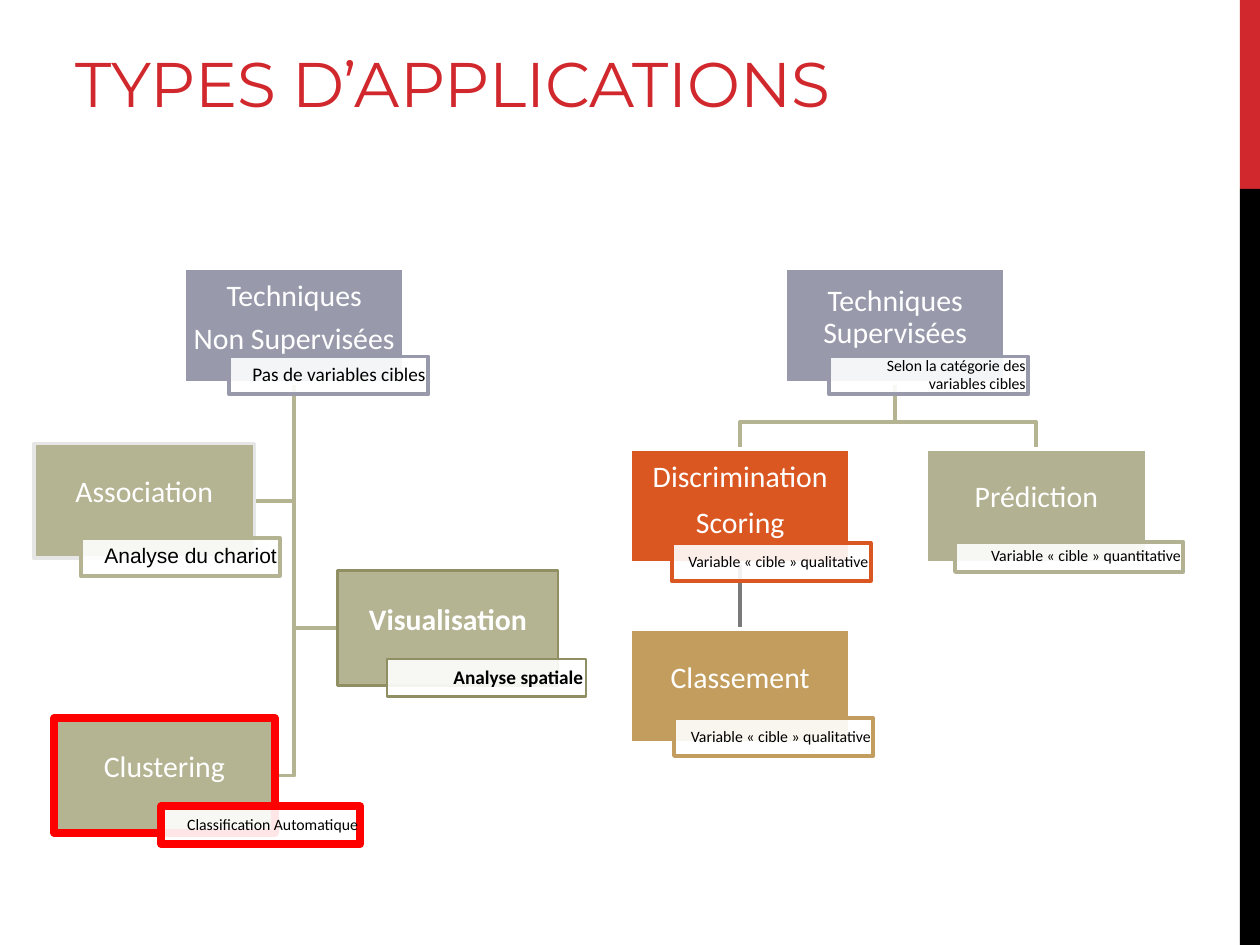
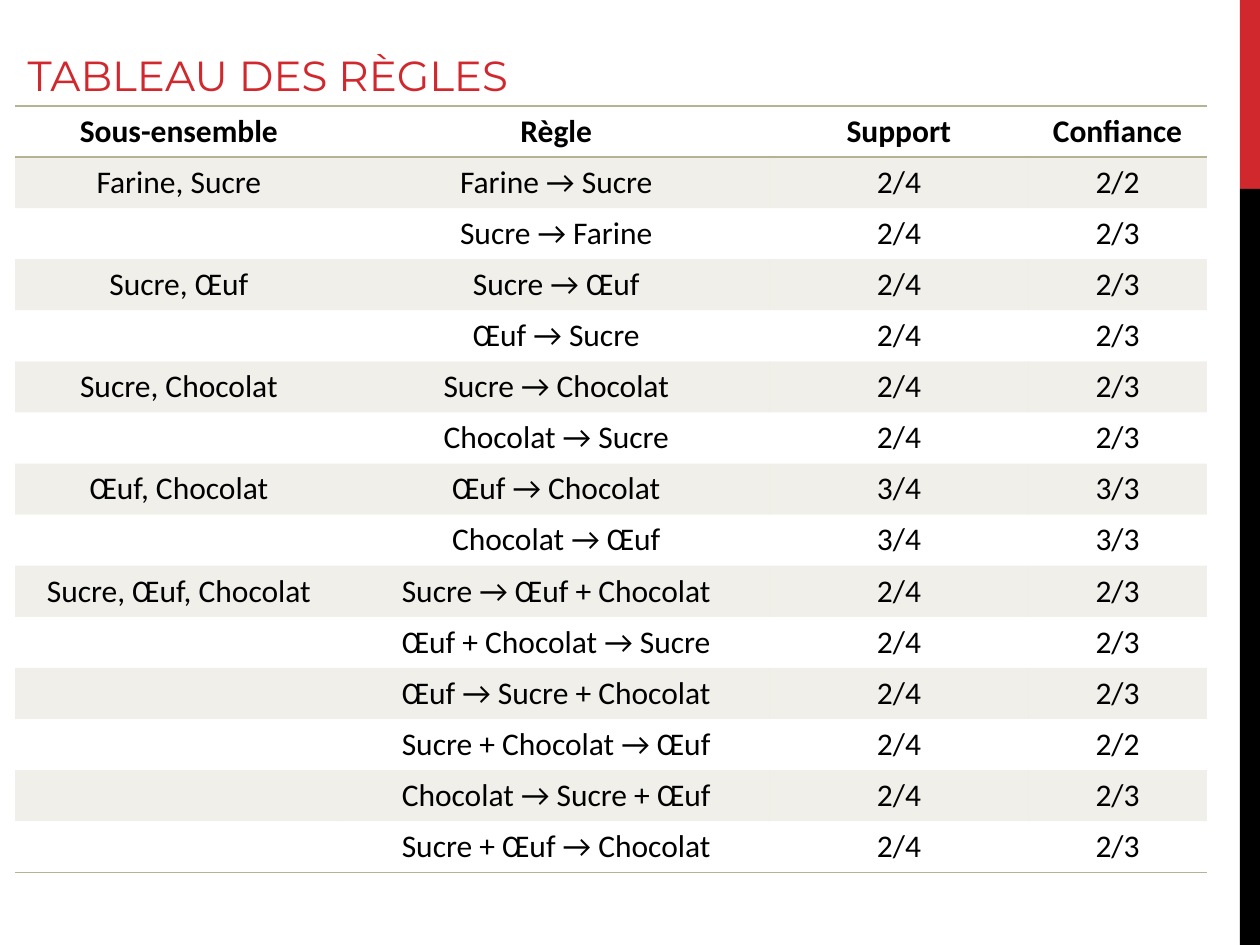
from lxml import etree
from pptx import Presentation
from pptx.dml.color import RGBColor
from pptx.enum.dml import MSO_FILL
from pptx.enum.shapes import MSO_CONNECTOR, MSO_SHAPE
from pptx.enum.text import MSO_ANCHOR, MSO_AUTO_SIZE, PP_ALIGN
from pptx.oxml.ns import qn
from pptx.util import Inches, Pt

RECT = MSO_SHAPE.RECTANGLE
STRAIGHT = MSO_CONNECTOR.STRAIGHT
SOLID = MSO_FILL.SOLID
MIDDLE, BOTTOM = MSO_ANCHOR.MIDDLE, MSO_ANCHOR.BOTTOM
LEFT, CENTER, RIGHT = PP_ALIGN.LEFT, PP_ALIGN.CENTER, PP_ALIGN.RIGHT
NO_AUTOFIT = MSO_AUTO_SIZE.NONE

# Shared look
SLIDE_W, SLIDE_H = 10, 7.5
BAND_W, RED_SHARE = 0.16, 0.2
TITLE_FONT, BODY_FONT, PLAIN_FONT = "Montserrat", "Calibri", "Arial"
WHITE = RGBColor(0xFF, 0xFF, 0xFF)
BLACK = RGBColor(0, 0, 0)
CRIMSON = RGBColor(0xD1, 0x28, 0x2E)
RED = RGBColor(0xFF, 0, 0)
SLATE = RGBColor(0x98, 0x9A, 0xAC)
SAGE = RGBColor(0xB4, 0xB3, 0x92)
SAGE_GREY = RGBColor(0xB2, 0xB1, 0x91)
OLIVE = RGBColor(0x90, 0x8F, 0x63)
ORANGE = RGBColor(0xDB, 0x57, 0x22)
OCHRE = RGBColor(0xC2, 0x9D, 0x5E)
PALE_GREY = RGBColor(0xE6, 0xE6, 0xE6)
MID_GREY = RGBColor(0x7A, 0x7A, 0x7A)

# Slide 1: techniques; caption_at is the offset from the box's corner
APPLICATIONS_TITLE = ("TYPES D’APPLICATIONS", (0.5, 0.17, 8.2, 0.83), 36)
BOX_W, BOX_H = 1.75, 0.91
CAPTION_SIZE = (1.58, 0.3)
BEND_DROP = 0.31
LINE_PT = 2.25
TECHNIQUES = {
    "unsupervised": dict(
        at=(1.46, 2.13), label=["Techniques", "Non Supervisées"], fill=SLATE,
        caption="Pas de variables cibles", caption_at=(0.36, 0.7), size=11),
    "association": dict(
        at=(0.27, 3.52), label=["Association"], fill=SAGE, edge=PALE_GREY,
        caption="Analyse du chariot", caption_at=(0.37, 0.75), size=12,
        font=PLAIN_FONT),
    "visualisation": dict(
        at=(2.68, 4.53), label=["Visualisation"], fill=SAGE, edge=OLIVE,
        caption_edge=OLIVE, edge_pt=1.5, bold=True,
        caption="Analyse spatiale", caption_at=(0.39, 0.7), size=11),
    "clustering": dict(
        at=(0.43, 5.7), label=["Clustering"], fill=SAGE, edge=RED,
        caption_edge=RED, edge_pt=4.5,
        caption="Classification Automatique", caption_at=(0.85, 0.7)),
    "supervised": dict(
        at=(6.23, 2.13), label=["Techniques Supervisées"], fill=SLATE,
        caption="Selon la catégorie des variables cibles",
        caption_at=(0.35, 0.7)),
    "discrimination": dict(
        at=(5, 3.56), label=["Discrimination", "Scoring"], fill=ORANGE,
        spacing=1.0, caption="Variable « cible » qualitative",
        caption_at=(0.33, 0.75)),
    "classement": dict(
        at=(5, 4.99), label=["Classement"], fill=OCHRE,
        caption="Variable « cible » qualitative", caption_at=(0.35, 0.71)),
    "prediction": dict(
        at=(7.35, 3.56), label=["Prédiction"], fill=SAGE_GREY,
        caption="Variable « cible » quantitative", caption_at=(0.23, 0.74),
        caption_size=(1.81, 0.24)),
}
SIDE_BRANCHES = ("unsupervised", ["clustering", "visualisation", "association"])
DOWN_BRANCHES = ("supervised", ["prediction", "discrimination"])
STEP = ("discrimination", "classement")

# Slide 2: rules, grouped by subset
RULES_TITLE = ("TABLEAU DES RÈGLES", (0.12, 0.13, 8.5, 0.71), 24)
HEADINGS = ("Sous-ensemble", "Règle", "Support", "Confiance")
COLUMN_WIDTHS = (2.6, 3.39, 2.05, 1.42)
TABLE_AT, TABLE_H = (0.12, 0.84), 6.08
RULES = [
    ("Farine, Sucre", [
        ("Farine → Sucre", "2/4", "2/2"),
        ("Sucre → Farine", "2/4", "2/3")]),
    ("Sucre, Œuf", [
        ("Sucre → Œuf", "2/4", "2/3"),
        ("Œuf → Sucre", "2/4", "2/3")]),
    ("Sucre, Chocolat", [
        ("Sucre → Chocolat", "2/4", "2/3"),
        ("Chocolat → Sucre", "2/4", "2/3")]),
    ("Œuf, Chocolat", [
        ("Œuf → Chocolat", "3/4", "3/3"),
        ("Chocolat → Œuf", "3/4", "3/3")]),
    ("Sucre, Œuf, Chocolat", [
        ("Sucre → Œuf + Chocolat", "2/4", "2/3"),
        ("Œuf + Chocolat → Sucre", "2/4", "2/3"),
        ("Œuf → Sucre + Chocolat", "2/4", "2/3"),
        ("Sucre + Chocolat → Œuf", "2/4", "2/2"),
        ("Chocolat → Sucre + Œuf", "2/4", "2/3"),
        ("Sucre + Œuf → Chocolat", "2/4", "2/3")]),
]
NO_TABLE_STYLE = "{2D5ABB26-0587-4C30-8999-92F81FD0307C}"


def inches(*lengths):
    return [Inches(length) for length in lengths]


def set_opacity(properties, percent):
    colour = properties.find(qn("a:solidFill"))[0]
    etree.SubElement(colour, qn("a:alpha"), val=str(percent * 1000))


def style_text(paragraph, size, colour, align, font=BODY_FONT, bold=False):
    paragraph.alignment = align
    paragraph.font.size = Pt(size)
    for run in paragraph.runs:
        run.font.name, run.font.size, run.font.bold = font, Pt(size), bold
        run.font.color.rgb = colour


def add_rect(slide, place, fill, edge=None, edge_pt=LINE_PT):
    rect = slide.shapes.add_shape(RECT, *inches(*place))
    rect.shadow.inherit = False
    rect.fill.solid()
    rect.fill.fore_color.rgb = fill
    if edge is None:
        rect.line.fill.background()
    else:
        rect.line.color.rgb, rect.line.width = edge, Pt(edge_pt)
    return rect


def write(rect, lines, insets, spacing, size, colour, align, **look):
    frame = rect.text_frame
    frame.word_wrap, frame.vertical_anchor = True, MIDDLE
    (frame.margin_left, frame.margin_top,
     frame.margin_right, frame.margin_bottom) = inches(*insets)
    frame.text = "\n".join(lines)
    for i, paragraph in enumerate(frame.paragraphs):
        paragraph.line_spacing = spacing
        paragraph.space_before = Pt(6 if i else 0)
        style_text(paragraph, size, colour, align, **look)


def add_slide(prs, layout, title, place, size):
    slide = prs.slides.add_slide(layout)
    heading = slide.shapes.title
    heading.left, heading.top, heading.width, heading.height = inches(*place)
    frame = heading.text_frame
    frame.text = title
    frame.vertical_anchor, frame.auto_size = BOTTOM, NO_AUTOFIT
    style_text(frame.paragraphs[0], size, CRIMSON, LEFT, font=TITLE_FONT)
    return slide


def add_bands(slide, layout):
    """Side bands, moved to the layout so that every slide has them."""
    x, split = SLIDE_W - BAND_W, SLIDE_H * RED_SHARE
    for top, bottom, colour in ((0, split, CRIMSON), (split, SLIDE_H, BLACK)):
        band = add_rect(slide, (x, top, BAND_W, bottom - top), colour)
        layout.shapes.element.append(band.element)


def add_branch(slide, points):
    start, *rest = [inches(*point) for point in points]
    builder = slide.shapes.build_freeform(*start)
    builder.add_line_segments(rest, close=False)
    branch = builder.convert_to_shape()
    branch.shadow.inherit = False
    branch.fill.background()
    branch.line.color.rgb, branch.line.width = SAGE, Pt(LINE_PT)


def foot(name):
    x, y = TECHNIQUES[name]["at"]
    return x + BOX_W / 2, y + BOX_H


def add_branches(slide):
    # From the parent's foot sideways to the children
    parent, children = SIDE_BRANCHES
    trunk, top = foot(parent)
    for child in children:
        x, y = TECHNIQUES[child]["at"]
        side = x if x > trunk else x + BOX_W
        middle = y + BOX_H / 2
        add_branch(slide, [(trunk, top), (trunk, middle), (side, middle)])
    # From the parent's foot down to the children
    parent, children = DOWN_BRANCHES
    trunk, top = foot(parent)
    bend = top + BEND_DROP
    for child in children:
        x, y = foot(child)[0], TECHNIQUES[child]["at"][1]
        add_branch(slide, [(trunk, top), (trunk, bend), (x, bend), (x, y)])
    # Straight step
    x, top = foot(STEP[0])
    step = slide.shapes.add_connector(
        STRAIGHT, *inches(x, top, x, TECHNIQUES[STEP[1]]["at"][1]))
    step.line.color.rgb, step.line.width = MID_GREY, Pt(LINE_PT)
    etree.SubElement(step.element.spPr, qn("a:effectLst"))


def add_technique(slide, at, label, fill, caption, caption_at, size=9,
                  edge=WHITE, caption_edge=None, edge_pt=LINE_PT, bold=False,
                  font=BODY_FONT, spacing=0.9, caption_size=CAPTION_SIZE):
    box = add_rect(slide, (*at, BOX_W, BOX_H), fill, edge, edge_pt)
    write(box, label, (0.01, 0.01, 0.01, 0.13), spacing, 17, WHITE, CENTER,
          bold=bold)
    corner = (at[0] + caption_at[0], at[1] + caption_at[1])
    note = add_rect(slide, (*corner, *caption_size), WHITE,
                    caption_edge or fill, edge_pt)
    set_opacity(note.element.spPr, 90)
    write(note, [caption], (0.02, 0.01, 0.02, 0.01), 0.9, size, BLACK, RIGHT,
          font=font, bold=bold)


def add_border(properties, side):
    border = etree.SubElement(properties, qn(f"a:{side}"), w=str(Pt(1)))
    fill = etree.SubElement(border, qn("a:solidFill"))
    etree.SubElement(fill, qn("a:srgbClr"), val=str(SAGE))


def add_rules(slide):
    rows = [HEADINGS]
    for subset, rules in RULES:
        rows += [("" if i else subset, *rule) for i, rule in enumerate(rules)]
    frame = slide.shapes.add_table(
        len(rows), len(HEADINGS),
        *inches(*TABLE_AT, sum(COLUMN_WIDTHS), TABLE_H))
    table = frame.table
    table.first_row = table.horz_banding = False
    next(frame.element.iter(qn("a:tableStyleId"))).text = NO_TABLE_STYLE
    for column, width in zip(table.columns, COLUMN_WIDTHS):
        column.width = Inches(width)
    for r, row in enumerate(rows):
        for c, text in enumerate(row):
            cell = table.cell(r, c)
            cell.text, cell.vertical_anchor = text, MIDDLE
            style_text(cell.text_frame.paragraphs[0], 18, BLACK, CENTER,
                       bold=r == 0)
            properties = cell._tc.get_or_add_tcPr()
            if r == 0:
                add_border(properties, "lnT")
            if r in (0, len(rows) - 1):
                add_border(properties, "lnB")
            if r % 2:
                cell.fill.solid()
                cell.fill.fore_color.rgb = SAGE
            else:
                cell.fill.background()
            if cell.fill.type == SOLID:
                set_opacity(properties, 20)


def main():
    prs = Presentation()
    prs.slide_width, prs.slide_height = inches(SLIDE_W, SLIDE_H)
    layout = prs.slide_layouts[5]

    applications = add_slide(prs, layout, *APPLICATIONS_TITLE)
    add_bands(applications, layout)
    add_branches(applications)
    for technique in TECHNIQUES.values():
        add_technique(applications, **technique)

    add_rules(add_slide(prs, layout, *RULES_TITLE))
    prs.save("out.pptx")


if __name__ == "__main__":
    main()
